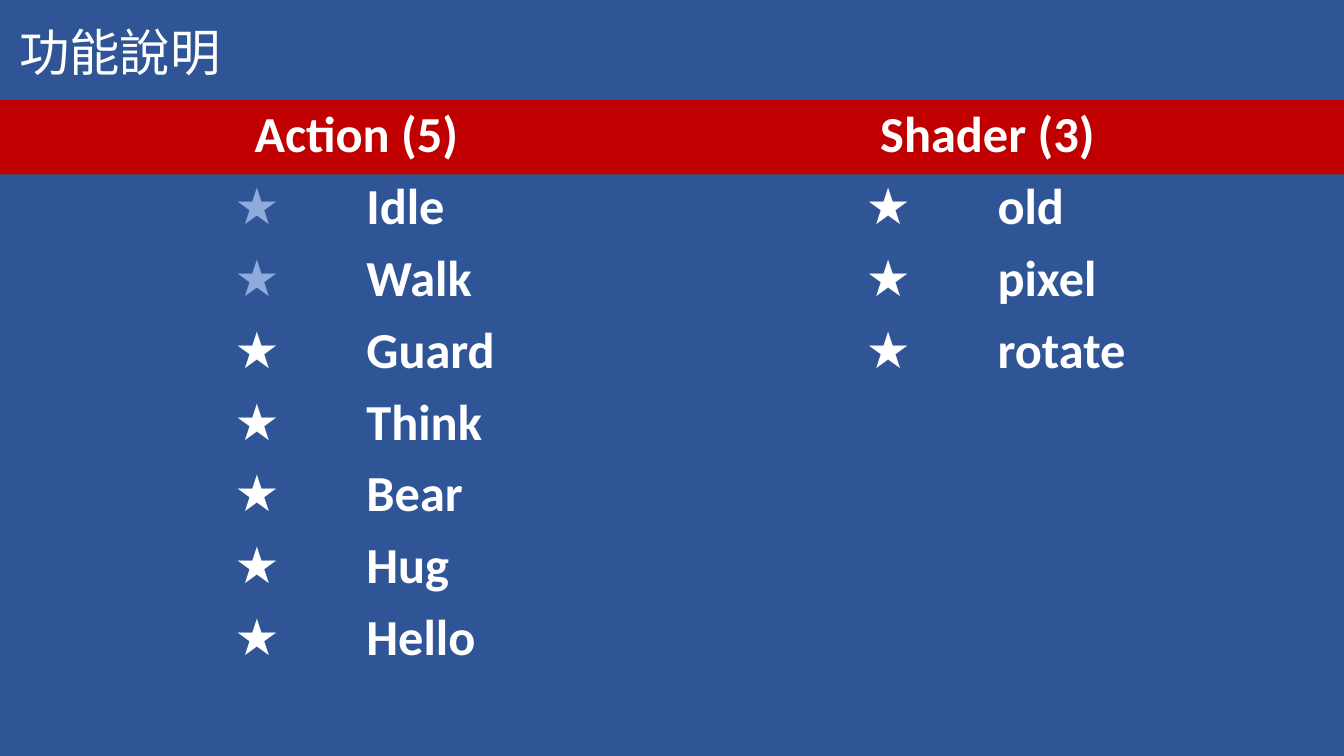
from lxml import etree
from pptx import Presentation
from pptx.dml.color import RGBColor
from pptx.enum.shapes import MSO_SHAPE
from pptx.enum.text import MSO_AUTO_SIZE, PP_ALIGN
from pptx.oxml.ns import qn
from pptx.util import Inches, Pt

RECTANGLE = MSO_SHAPE.RECTANGLE
FIT_SHAPE = MSO_AUTO_SIZE.SHAPE_TO_FIT_TEXT
LEFT, CENTER = PP_ALIGN.LEFT, PP_ALIGN.CENTER

BLUE = RGBColor(0x2F, 0x55, 0x97)
RED = RGBColor(0xC0, 0x00, 0x00)
PALE_BLUE = RGBColor(0x8F, 0xAA, 0xDC)
WHITE = RGBColor(0xFF, 0xFF, 0xFF)

LATIN_FONT = "Calibri"
CHINESE_FONT = "Noto Sans CJK SC"
NO_STYLE_NO_GRID = "{2D5ABB26-0587-4C30-8999-92F81FD0307C}"

SLIDE_WIDTH, SLIDE_HEIGHT = 13.33, 7.5
HEADER_TOP, HEADER_HEIGHT = 0.99, 0.74
ROW_HEIGHT = 0.71
COLUMN_WIDTHS = [1.97, 1.97, 2.32, 1.97, 1.97]

ACTIONS = ["Idle", "Walk", "Guard", "Think", "Bear", "Hug", "Hello"]
SHADERS = ["old", "pixel", "rotate"]
PALE_STARS = {"Idle", "Walk"}


def write(frame, text, size=36, font=LATIN_FONT, color=WHITE, bold=False, align=LEFT):
    paragraph = frame.paragraphs[0]
    paragraph.alignment = align
    run = paragraph.add_run()
    run.text = text
    run.font.size = Pt(size)
    run.font.name = font
    run.font.bold = bold
    run.font.color.rgb = color
    east_asian = etree.SubElement(run.font._element, qn("a:ea"))
    east_asian.set("typeface", font)


def add_title(slide, left, top, width, height):
    title = slide.shapes.add_textbox(*map(Inches, (left, top, width, height)))
    title.text_frame.word_wrap = False
    title.text_frame.auto_size = FIT_SHAPE
    write(title.text_frame, "功能說明", font=CHINESE_FONT)


def add_header_band(slide, left, top, width, height):
    band = slide.shapes.add_shape(RECTANGLE, *map(Inches, (left, top, width, height)))
    band.shadow.inherit = False
    band.fill.solid()
    band.fill.fore_color.rgb = RED
    band.line.fill.background()


def fill_group(table, first_column, heading, features):
    heading_cell = table.cell(0, first_column)
    heading_cell.merge(table.cell(0, first_column + 1))
    write(heading_cell.text_frame, f"{heading} ({5 if features is ACTIONS else len(features)})",
          bold=True, align=CENTER)
    for row, feature in enumerate(features, start=1):
        star_color = PALE_BLUE if feature in PALE_STARS else WHITE
        write(table.cell(row, first_column).text_frame, "★",
              color=star_color, bold=True, align=CENTER)
        write(table.cell(row, first_column + 1).text_frame, feature, bold=True)


def add_feature_table(slide, left, top, column_widths, row_height):
    row_count = 1 + max(len(ACTIONS), len(SHADERS))
    frame = slide.shapes.add_table(
        row_count, len(column_widths), Inches(left), Inches(top),
        Inches(sum(column_widths)), Inches(row_count * row_height))
    table = frame.table
    table.first_row = False
    table.horz_banding = False
    table._tbl.tblPr.find(qn("a:tableStyleId")).text = NO_STYLE_NO_GRID
    for column, width in zip(table.columns, column_widths):
        column.width = Inches(width)
    for row in table.rows:
        row.height = Inches(row_height)
    for cell in table.iter_cells():
        cell.fill.background()
    fill_group(table, 0, "Action", ACTIONS)
    fill_group(table, 3, "Shader", SHADERS)


def main():
    presentation = Presentation()
    presentation.slide_width = Inches(SLIDE_WIDTH)
    presentation.slide_height = Inches(SLIDE_HEIGHT)
    slide = presentation.slides.add_slide(presentation.slide_layouts[6])
    slide.background.fill.solid()
    slide.background.fill.fore_color.rgb = BLUE
    add_header_band(slide, 0, HEADER_TOP, SLIDE_WIDTH, HEADER_HEIGHT)
    table_left = (SLIDE_WIDTH - sum(COLUMN_WIDTHS)) / 2
    add_feature_table(slide, table_left, HEADER_TOP, COLUMN_WIDTHS, ROW_HEIGHT)
    add_title(slide, 0.09, 0.16, 2.22, 0.71)
    presentation.save("out.pptx")


if __name__ == "__main__":
    main()
